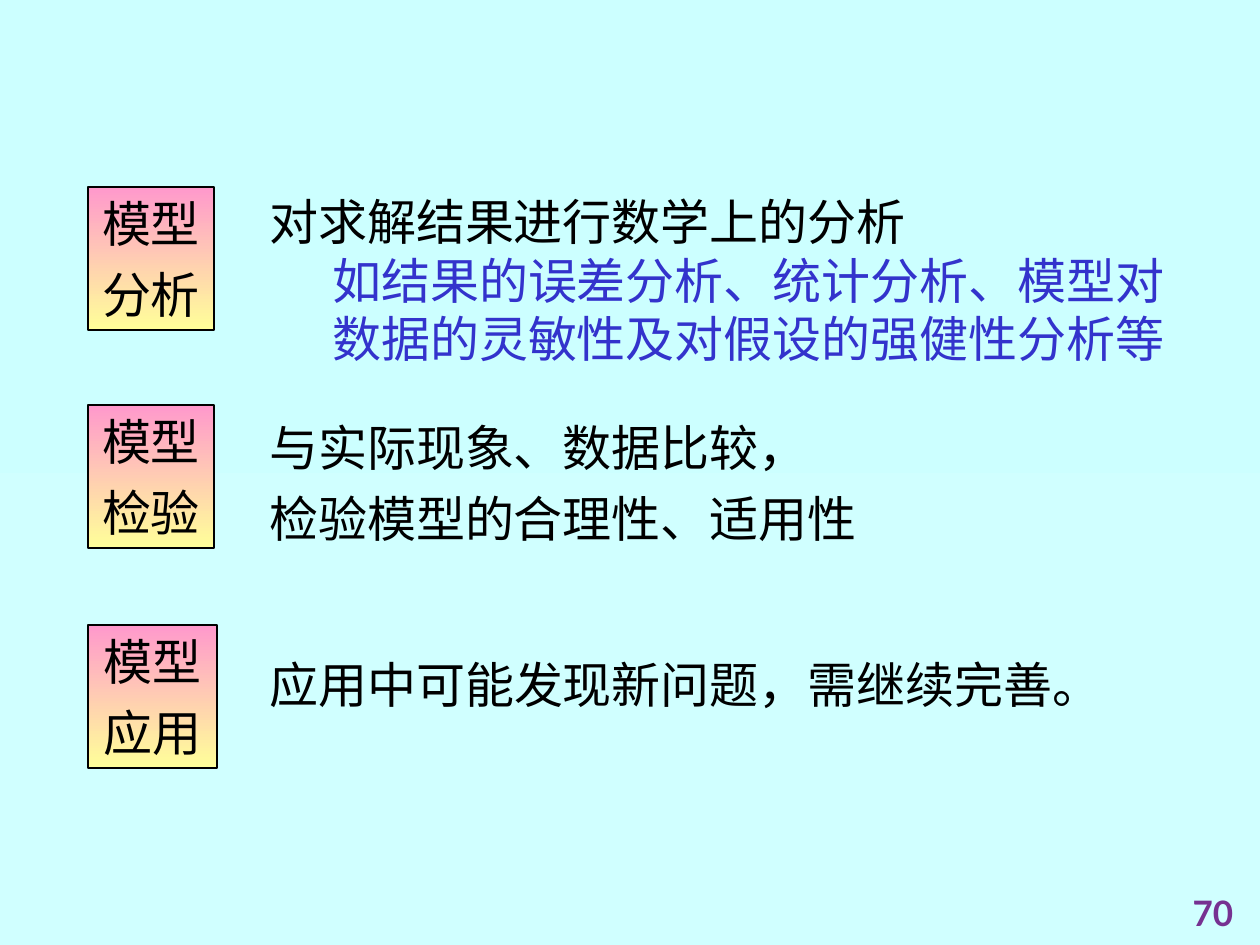
import pptx
import pptx.util
import pptx.dml.color
import pptx.enum.shapes
import pptx.enum.text

PX = 914400 / 126
COLORS = {
    "bg_top": "CCFFFF", "bg_bottom": "D0FFFF",
    "label_top": "FF99CC", "label_bottom": "FFFF99",
    "text": "000000", "detail": "3333CC", "page": "763191",
}
BODY_FONT = {"name": "Times New Roman", "size": pptx.util.Pt(28)}
PAGE_FONT = {"name": "Lato", "size": pptx.util.Pt(20), "bold": True}
CENTER = pptx.enum.text.PP_ALIGN.CENTER
LEFT = pptx.enum.text.PP_ALIGN.LEFT
MIDDLE = pptx.enum.text.MSO_ANCHOR.MIDDLE
TOP = pptx.enum.text.MSO_ANCHOR.TOP
LABEL_LEFT, LABEL_HEIGHT, TEXT_LEFT = 88, 143, 257

# Each stage: label top and width, label lines,
# text top, width and height, text lines, detail
STAGES = [
    (187, 126, ["模型", "分析"], 185, 948, 189, ["对求解结果进行数学上的分析"],
     "如结果的误差分析、统计分析、模型对数据的灵敏性及对假设的强健性分析等"),
    (405, 126, ["模型", "检验"], 411, 746, 143,
     ["与实际现象、数据比较，", "检验模型的合理性、适用性"], None),
    (625, 129, ["模型", "应用"], 648, 898, 72,
     ["应用中可能发现新问题，需继续完善。"], None),
]


def px(*lengths):
    return [round(length * PX) for length in lengths]


def rgb(key):
    return pptx.dml.color.RGBColor.from_string(COLORS[key])


def fill_downward(fill, top, bottom):
    fill.gradient()
    fill.gradient_angle = 270
    for stop, key in zip(fill.gradient_stops, (top, bottom)):
        stop.color.rgb = rgb(key)


def format_font(paragraph, values, color):
    for key, value in values.items():
        setattr(paragraph.font, key, value)
    paragraph.font.color.rgb = rgb(color)


def write_lines(frame, lines, align=LEFT, font=BODY_FONT, color="text",
                wrap=True, anchor=MIDDLE):
    frame.word_wrap = wrap
    frame.auto_size = pptx.enum.text.MSO_AUTO_SIZE.SHAPE_TO_FIT_TEXT
    frame.vertical_anchor = anchor
    for number, line in enumerate(lines):
        paragraph = frame.add_paragraph() if number else frame.paragraphs[0]
        paragraph.text = line
        paragraph.alignment = align
        if number:
            paragraph.space_before = pptx.util.Pt(7)
        format_font(paragraph, font, color)


def add_label(slide, box, lines):
    label = slide.shapes.add_shape(
        pptx.enum.shapes.MSO_SHAPE.RECTANGLE, *px(*box))
    label.shadow.inherit = False
    fill_downward(label.fill, "label_top", "label_bottom")
    label.line.color.rgb = rgb("text")
    label.line.width = pptx.util.Pt(0.75)
    write_lines(label.text_frame, lines, CENTER)


def add_explanation(slide, box, lines, detail):
    """Place the stage's text, with an indented blue detail if there is one."""
    frame = slide.shapes.add_textbox(*px(*box)).text_frame
    write_lines(frame, lines)
    if detail:
        paragraph = frame.add_paragraph()
        paragraph.text = detail
        paragraph.level = 1
        properties = paragraph._p.get_or_add_pPr()
        properties.set("marL", str(pptx.util.Inches(0.5)))
        properties.set("indent", "0")
        format_font(paragraph, BODY_FONT, "detail")


def add_page_number(slide, box, number):
    frame = slide.shapes.add_textbox(*px(*box)).text_frame
    write_lines(frame, [number], CENTER, PAGE_FONT, "page",
                wrap=False, anchor=TOP)


def main():
    deck = pptx.Presentation()
    deck.slide_width, deck.slide_height = px(1260, 945)
    slide = deck.slides.add_slide(deck.slide_layouts[6])
    fill_downward(slide.background.fill, "bg_top", "bg_bottom")
    add_page_number(slide, (1111, 885, 204, 60), "70")
    for (label_top, label_width, label_lines,
         text_top, text_width, text_height, lines, detail) in STAGES:
        add_label(slide, (LABEL_LEFT, label_top, label_width, LABEL_HEIGHT),
                  label_lines)
        add_explanation(slide, (TEXT_LEFT, text_top, text_width, text_height),
                        lines, detail)
    deck.save("out.pptx")


if __name__ == "__main__":
    main()
